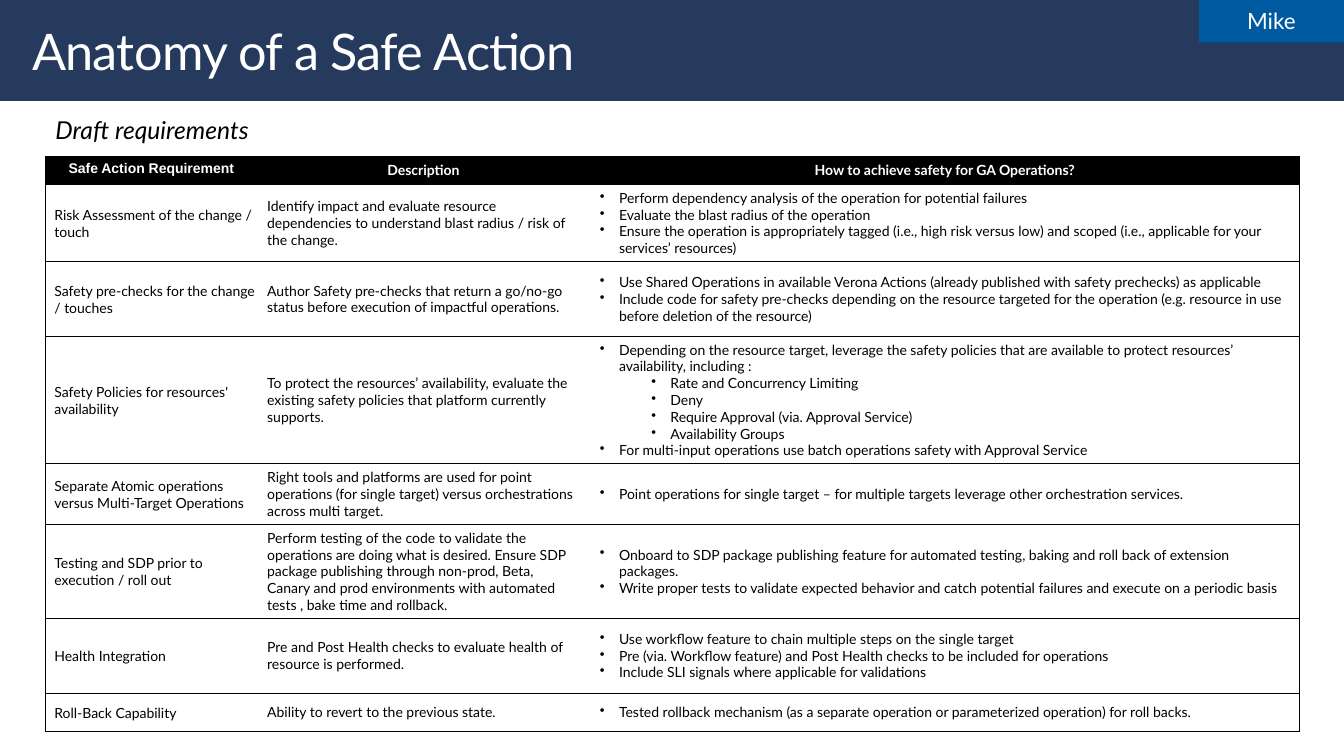
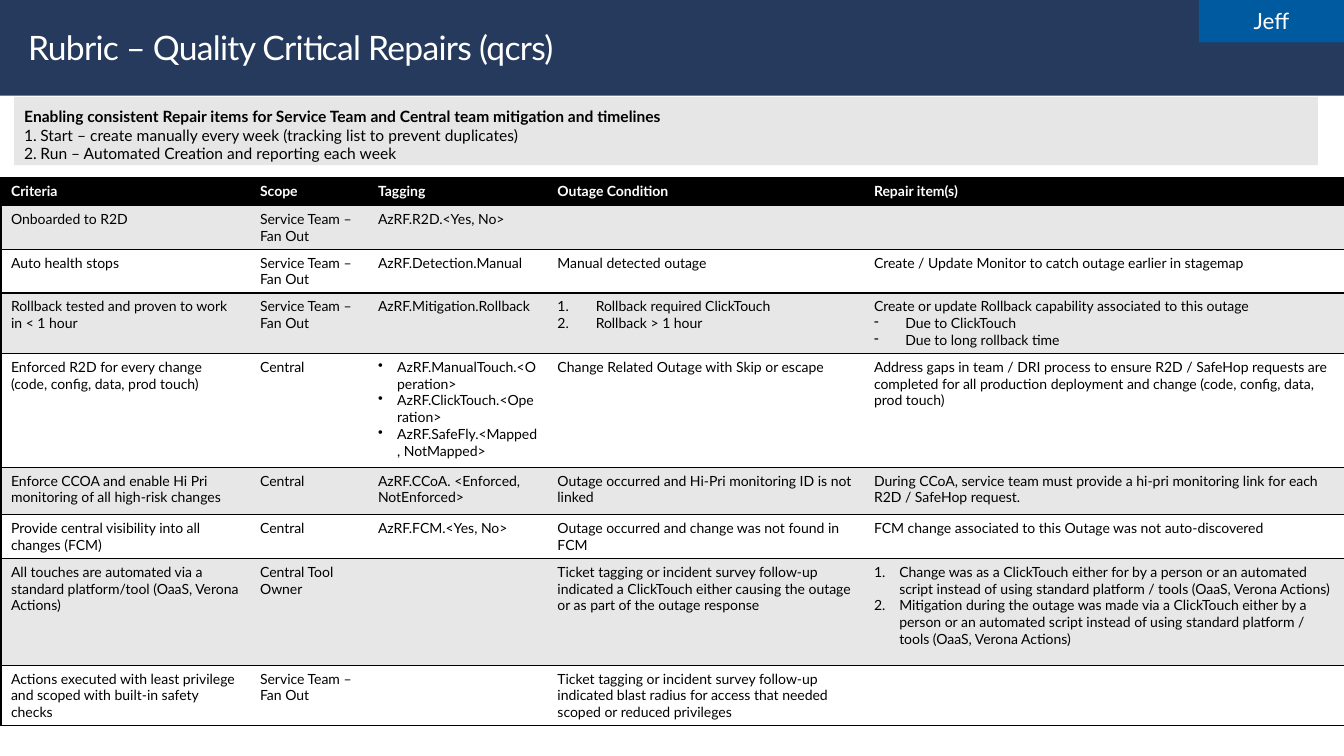
from collections import namedtuple
from dataclasses import dataclass
from itertools import chain

from lxml.etree import SubElement
from pptx import Presentation
from pptx.dml.color import RGBColor
from pptx.enum.shapes import MSO_SHAPE
from pptx.enum.text import MSO_ANCHOR, MSO_AUTO_SIZE, PP_ALIGN
from pptx.oxml.ns import qn
from pptx.util import Inches, Pt


@dataclass(frozen=True)
class Theme:
    band: RGBColor = RGBColor(0x25, 0x3A, 0x5C)
    badge: RGBColor = RGBColor(0x00, 0x5A, 0x9F)
    panel: RGBColor = RGBColor(0xE6, 0xE6, 0xE6)
    stripe: RGBColor = RGBColor(0xE7, 0xE7, 0xE7)
    ink: RGBColor = RGBColor(0x00, 0x00, 0x00)
    paper: RGBColor = RGBColor(0xFF, 0xFF, 0xFF)
    font: str = "Lato"
    header_font: str = "Arial"
    badge_size: float = 16
    subtitle_size: float = 17.6
    panel_size: float = 11.1
    table_size: float = 10
    title_spacing: float = -0.5


THEME = Theme()
NO_STYLE = "{2D5ABB26-0587-4C30-8999-92F81FD0307C}"
Box = namedtuple("Box", "left top width height")
Line = namedtuple("Line", "text left hanging marker value level bold", defaults=(0, 0, None, None, 0, False))
BADGE_BOX = Box(11.89, -0.01, 1.44, 0.43)


def bullets(*texts, left=0.19, hanging=0.19, character="•", level=0):
    return [Line(text, left, hanging, "a:buChar", character, level) for text in texts]


def numbers(*texts, indent):
    return [Line(text, indent, indent, "a:buAutoNum", "arabicPeriod") for text in texts]


def apply_format(target, values):
    for name, value in values.items():
        setattr(target, name, value)


def set_margins(target, left, top, right, bottom):
    names = ("margin_left", "margin_top", "margin_right", "margin_bottom")
    apply_format(target, dict(zip(names, map(Inches, (left, top, right, bottom)))))


def place(shape, box):
    apply_format(shape, {name: Inches(value) for name, value in box._asdict().items()})


def paint(target, color):
    target.fill.solid()
    target.fill.fore_color.rgb = color


def font_format(size, color=THEME.ink, **extra):
    return {"name": THEME.font, "size": Pt(size), "bold": False, **extra}, color


def write_lines(frame, content, style, alignment=PP_ALIGN.LEFT):
    values, color = style
    lines = [Line(content)] if isinstance(content, str) else content
    for index, line in enumerate(lines):
        paragraph = frame.add_paragraph() if index else frame.paragraphs[0]
        apply_format(paragraph, {"alignment": alignment, "level": line.level, "space_before": Pt(0)})
        properties = paragraph._p.get_or_add_pPr()
        properties.set("marL", str(Inches(line.left)))
        properties.set("indent", str(-Inches(line.hanging)))
        marker = SubElement(properties, qn(line.marker or "a:buNone"))
        if line.marker:
            marker.set("char" if line.marker == "a:buChar" else "type", line.value)
        run = paragraph.add_run()
        run.text = line.text
        apply_format(run.font, values)
        run.font.color.rgb = color
        if line.bold:
            run.font.bold = True


def add_title(slide, box, text, size, inset):
    title = slide.shapes.title
    place(title, box)
    paint(title, THEME.band)
    frame = title.text_frame
    apply_format(frame, {"word_wrap": True, "auto_size": MSO_AUTO_SIZE.NONE, "vertical_anchor": MSO_ANCHOR.MIDDLE})
    set_margins(frame, inset, 0, 0.1, 0)
    write_lines(frame, text, font_format(size, THEME.paper))
    properties = frame.paragraphs[0].runs[0]._r.get_or_add_rPr()
    properties.set("spc", str(int(THEME.title_spacing * 100)))


def add_badge(slide, box, name):
    badge = slide.shapes.add_shape(MSO_SHAPE.RECTANGLE, *map(Inches, box))
    badge.shadow.inherit = False
    badge.line.fill.background()
    paint(badge, THEME.badge)
    frame = badge.text_frame
    apply_format(frame, {"word_wrap": True, "vertical_anchor": MSO_ANCHOR.MIDDLE})
    set_margins(frame, 0.2, 0.16, 0.2, 0.16)
    write_lines(frame, name, font_format(THEME.badge_size, THEME.paper), PP_ALIGN.CENTER)


def fill_body(slide, box, content, style, margins, color=None):
    body = slide.placeholders[1]
    place(body, box)
    if color is not None:
        paint(body, color)
    apply_format(body.text_frame, {"word_wrap": True, "auto_size": MSO_AUTO_SIZE.NONE, "vertical_anchor": MSO_ANCHOR.TOP})
    set_margins(body.text_frame, *margins)
    write_lines(body.text_frame, content, style)


def add_borders(cell, sides, width):
    properties = cell._tc.get_or_add_tcPr()
    for side in sides:
        line = SubElement(properties, qn(f"a:ln{side}"), w=str(Pt(width)))
        fill = SubElement(line, qn("a:solidFill"))
        SubElement(fill, qn("a:srgbClr"), val=str(THEME.ink))


def add_table(slide, box, widths, heights, rows, line_width):
    frame = slide.shapes.add_table(len(rows), len(widths), *map(Inches, box))
    table = frame.table
    table.horz_banding = False
    table._tbl.tblPr.find(qn("a:tableStyleId")).text = NO_STYLE
    for column, width in zip(table.columns, widths):
        column.width = Inches(width)
    last = len(widths) - 1
    for row_index, (height, contents) in enumerate(zip(heights, rows)):
        table.rows[row_index].height = Inches(height)
        for column_index, content in enumerate(contents):
            cell = table.cell(row_index, column_index)
            sides = ["L"] * (column_index == 0) + ["R"] * (column_index == last) + ["T", "B"]
            add_borders(cell, sides, line_width)
            header = row_index == 0
            paint(cell, THEME.ink if header else THEME.paper)
            if content:
                color = THEME.paper if header else THEME.ink
                write_lines(cell.text_frame, content, font_format(THEME.table_size, color, bold=header))
    return table


def build_action_slide(slide):
    add_title(slide, Box(0, -0.01, 13.33, 1.01), "Anatomy of a Safe Action", 36, 0.32)
    widths, heights = (2.1, 3.3, 7.04), (0.28, 0.74, 0.74, 1.22, 0.47, 0.9, 0.74, 0.38)
    table = add_table(slide, Box(0.45, 1.55, 12.44, 5.71), widths, heights, ACTION_ROWS, 0.75)
    for cell in table.rows[0].cells:
        cell.text_frame.paragraphs[0].alignment = PP_ALIGN.CENTER
    table.cell(0, 0).text_frame.paragraphs[0].runs[0].font.name = THEME.header_font
    for row_index in range(1, len(ACTION_ROWS)):
        for cell in table.rows[row_index].cells:
            cell.vertical_anchor = MSO_ANCHOR.MIDDLE
        set_margins(table.cell(row_index, 0), 0.09, 0.01, 0.01, 0)
    add_badge(slide, BADGE_BOX, "Mike")
    style = font_format(THEME.subtitle_size, italic=True)
    fill_body(slide, Box(0.45, 1.09, 12.05, 0.38), "Draft requirements", style, (0.1, 0.05, 0.1, 0.05))


def build_rubric_slide(slide):
    add_title(slide, Box(0, -0.02, 13.34, 0.97), "Rubric – Quality Critical Repairs (qcrs)", 24, 0.28)
    style = font_format(THEME.panel_size)
    fill_body(slide, Box(0.14, 0.96, 12.93, 0.68), RUBRIC_SUMMARY, style, (0.1,) * 4, THEME.panel)
    add_badge(slide, BADGE_BOX, "Jeff")
    widths = (2.47, 1.17, 1.78, 3.14, 4.79)
    heights = (0.28, 0.41, 0.41, 0.57, 1.13, 0.47, 0.41, 1.06, 0.56)
    table = add_table(slide, Box(0.01, 1.76, 13.34, 5.48), widths, heights, RUBRIC_ROWS, 1)
    striped_rows = (table.rows[index].cells for index in range(1, len(RUBRIC_ROWS), 2))
    for cell in chain.from_iterable(striped_rows):
        paint(cell, THEME.stripe)


ACTION_ROWS = [
    ("Safe Action Requirement", "Description", "How to achieve safety for GA Operations?"),
    ("Risk Assessment of the change / touch",
     "Identify impact and evaluate resource dependencies to understand blast radius / risk of the change.",
     bullets("Perform dependency analysis of the operation for potential failures",
             "Evaluate the blast radius of the operation",
             "Ensure the operation is appropriately tagged (i.e., high risk versus low) and scoped "
             "(i.e., applicable for your services’ resources)")),
    ("Safety pre-checks for the change / touches",
     "Author Safety pre-checks that return a go/no-go status before execution of impactful operations.",
     bullets("Use Shared Operations in available Verona Actions (already published with safety prechecks) as applicable",
             "Include code for safety pre-checks depending on the resource targeted for the operation "
             "(e.g. resource in use before deletion of the resource)")),
    ("Safety Policies for resources' availability",
     "To protect the resources’ availability, evaluate the existing safety policies that platform currently supports.",
     bullets("Depending on the resource target, leverage the safety policies that are available "
             "to protect resources’ availability, including :")
     + bullets("Rate and Concurrency Limiting", "Deny", "Require Approval (via. Approval Service)",
               "Availability Groups", left=0.7, level=1)
     + bullets("For multi-input operations use batch operations safety with Approval Service")),
    ("Separate Atomic operations versus Multi-Target Operations",
     "Right tools and platforms are used for point operations (for single target) versus orchestrations "
     "across multi target.",
     bullets("Point operations for single target – for multiple targets leverage other orchestration services.")),
    ("Testing and SDP prior to execution / roll out",
     "Perform testing of the code to validate the operations are doing what is desired. Ensure SDP package "
     "publishing through non-prod, Beta, Canary and prod environments with automated tests , bake time and rollback.",
     bullets("Onboard to SDP package publishing feature for automated testing, baking and roll back of extension packages.",
             "Write proper tests to validate expected behavior and catch potential failures and execute "
             "on a periodic basis")),
    ("Health Integration",
     "Pre and Post Health checks to evaluate health of resource is performed.",
     bullets("Use workflow feature to chain multiple steps on the single target",
             "Pre (via. Workflow feature) and Post Health checks to be included for operations",
             "Include SLI signals where applicable for validations")),
    ("Roll-Back Capability",
     "Ability to revert to the previous state.",
     bullets("Tested rollback mechanism (as a separate operation or parameterized operation) for roll backs.")),
]

RUBRIC_SUMMARY = [
    Line("Enabling consistent Repair items for Service Team and Central team mitigation and timelines", bold=True),
    *numbers("Start – create manually every week (tracking list to prevent duplicates)",
             "Run – Automated Creation and reporting each week", indent=0.16),
]

FAN_OUT = "Service Team – Fan Out"
RUBRIC_ROWS = [
    ("Criteria", "Scope", "Tagging", "Outage Condition", "Repair item(s)"),
    ("Onboarded to R2D", FAN_OUT, "AzRF.R2D.<Yes, No>", "", ""),
    ("Auto health stops", FAN_OUT, "AzRF.Detection.Manual", "Manual detected outage",
     "Create / Update Monitor to catch outage earlier in stagemap"),
    ("Rollback tested and proven to work in < 1 hour", FAN_OUT, "AzRF.Mitigation.Rollback",
     numbers("Rollback required ClickTouch", "Rollback > 1 hour", indent=0.38),
     [Line("Create or update Rollback capability associated to this outage"),
      *bullets("Due to ClickTouch", "Due to long rollback time", left=0.31, hanging=0.31, character="-")]),
    ("Enforced R2D for every change (code, config, data, prod touch)", "Central",
     bullets("AzRF.ManualTouch.<Operation>", "AzRF.ClickTouch.<Operation>", "AzRF.SafeFly.<Mapped, NotMapped>"),
     "Change Related Outage with Skip or escape",
     "Address gaps in team / DRI process to ensure R2D / SafeHop requests are completed for all production "
     "deployment and change (code, config, data, prod touch)"),
    ("Enforce CCOA and enable Hi Pri monitoring of all high-risk changes", "Central",
     "AzRF.CCoA. <Enforced, NotEnforced>", "Outage occurred and Hi-Pri monitoring ID is not linked",
     "During CCoA, service team must provide a hi-pri monitoring link for each R2D / SafeHop request."),
    ("Provide central visibility into all changes (FCM)", "Central", "AzRF.FCM.<Yes, No>",
     "Outage occurred and change was not found in FCM",
     "FCM change associated to this Outage was not auto-discovered"),
    ("All touches are automated via a standard platform/tool (OaaS, Verona Actions)", "Central Tool Owner", "",
     "Ticket tagging or incident survey follow-up indicated a ClickTouch either causing the outage "
     "or as part of the outage response",
     numbers("Change was as a ClickTouch either for by a person or an automated script instead of using "
             "standard platform / tools (OaaS, Verona Actions)",
             "Mitigation during the outage was made via a ClickTouch either by a person or an automated script "
             "instead of using standard platform / tools (OaaS, Verona Actions)", indent=0.25)),
    ("Actions executed with least privilege and scoped with built-in safety checks", FAN_OUT, "",
     "Ticket tagging or incident survey follow-up indicated blast radius for access that needed "
     "scoped or reduced privileges", ""),
]


def main():
    presentation = Presentation()
    apply_format(presentation, {"slide_width": Inches(13.33), "slide_height": Inches(7.5)})
    for build in (build_action_slide, build_rubric_slide):
        build(presentation.slides.add_slide(presentation.slide_layouts[1]))
    presentation.save("out.pptx")


if __name__ == "__main__":
    main()
